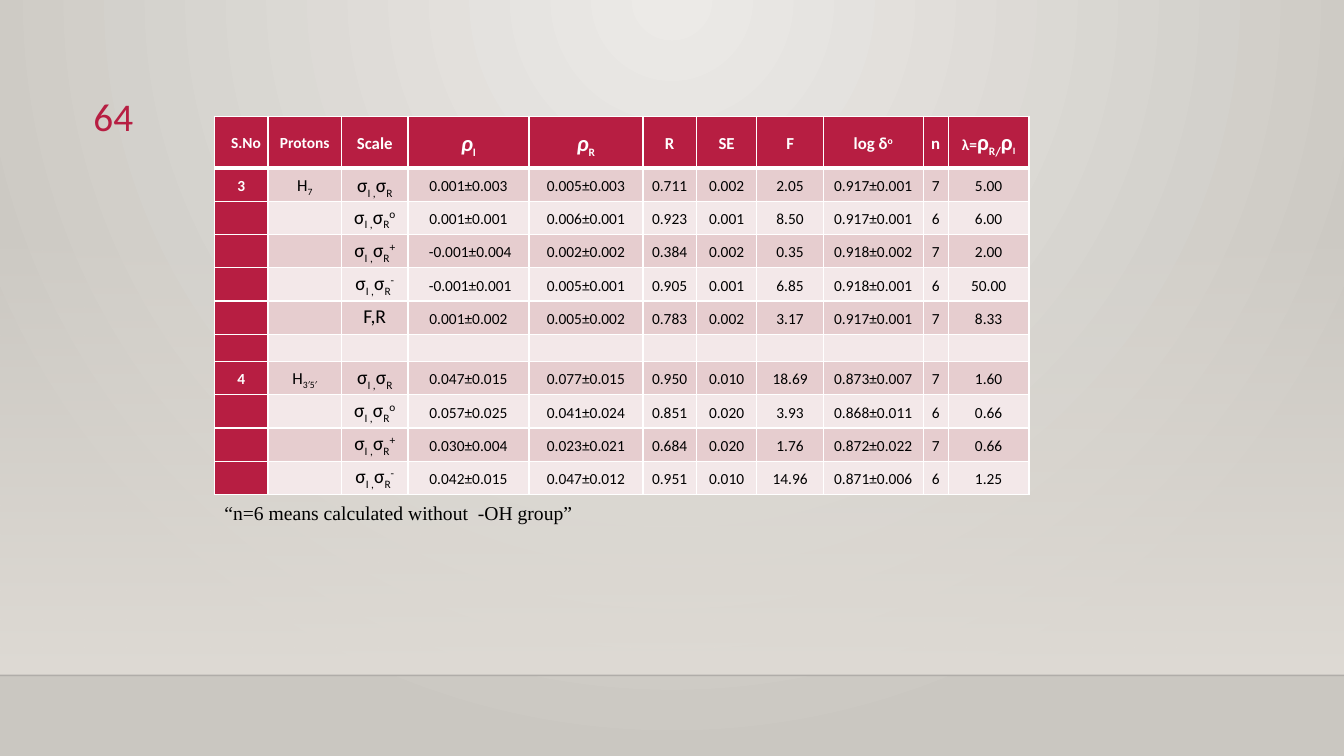
from lxml import etree
from pptx import Presentation
from pptx.dml.color import RGBColor
from pptx.enum.shapes import MSO_CONNECTOR, MSO_SHAPE
from pptx.enum.text import MSO_ANCHOR, PP_ALIGN
from pptx.oxml.ns import qn
from pptx.util import Pt

STRAIGHT, RECTANGLE = MSO_CONNECTOR.STRAIGHT, MSO_SHAPE.RECTANGLE
TOP, MIDDLE = MSO_ANCHOR.TOP, MSO_ANCHOR.MIDDLE
LEFT, CENTER, RIGHT = PP_ALIGN.LEFT, PP_ALIGN.CENTER, PP_ALIGN.RIGHT

CRIMSON = RGBColor(0xB7, 0x1E, 0x42)
PINK = RGBColor(0xE6, 0xCD, 0xCF)
PALE_PINK = RGBColor(0xF3, 0xE8, 0xE9)
WHITE = RGBColor(0xFF, 0xFF, 0xFF)
BLACK = RGBColor(0x00, 0x00, 0x00)
NEAR_BLACK = RGBColor(0x00, 0x00, 0x01)
LIGHT_STONE = RGBColor(0xEC, 0xEA, 0xE7)
DARK_STONE = RGBColor(0xCA, 0xC7, 0xC1)
STONE = RGBColor(0xDF, 0xDB, 0xD5)

PAGE_WIDTH, PAGE_HEIGHT = Pt(960), Pt(540)
FLOOR_TOP = Pt(482.4)
SUB, SUPER = -25, 30
SCALE_COLUMN = 2

COLUMN_WIDTHS = [38.2, 52.6, 47.5, 86.4, 81.4, 38.2, 43.2, 47.5, 71.3, 18, 57.6]
HEADER_HEIGHT, ROW_HEIGHT, GAP_HEIGHT = 37.2, 23.7, 19.7


def plain(text, size=11):
    return [(text, size)]


def sigma(superscript=""):
    """Runs of a sigma pair; a run is text, size, baseline percent, italic."""
    runs = [("σ", 14), ("I ,", 14, SUB), ("σ", 14), ("R", 14, SUB)]
    return runs + ([(superscript, 14, SUPER)] if superscript else [])


def proton(position):
    return [("H", 12), (position, 12, SUB)]


def rho(index):
    return [("ρ", 16, 0, True), (index, 14, SUB)]


HEADER = [
    plain("S.No"), plain("Protons"), plain("Scale", 12), rho("I"), rho("R"),
    plain("R", 12), plain("SE", 12), plain("F", 12),
    [("log δ", 12), ("o", 12, SUPER)], plain("n", 12),
    [("λ=", 11), ("ρ", 16), ("R", 14, SUB), ("/", 16, SUB), ("ρ", 16), ("I", 12, SUB)],
]
FIELD_SCALE = plain("F,R", 14)
# Serial number, proton, scale, then the eight values
BODY = [
    ("3", proton("7"), sigma(), "0.001±0.003|0.005±0.003|0.711|0.002|2.05|0.917±0.001|7|5.00"),
    ("", [], sigma("o"), "0.001±0.001|0.006±0.001|0.923|0.001|8.50|0.917±0.001|6|6.00"),
    ("", [], sigma("+"), " -0.001±0.004|0.002±0.002|0.384|0.002|0.35|0.918±0.002|7|2.00"),
    ("", [], sigma("-"), " -0.001±0.001|0.005±0.001|0.905|0.001|6.85|0.918±0.001|6|50.00"),
    ("", [], FIELD_SCALE, "0.001±0.002|0.005±0.002|0.783|0.002|3.17|0.917±0.001|7|8.33"),
    ("", [], [], "|||||||"),
    ("4", proton("3′5′"), sigma(), "0.047±0.015|0.077±0.015|0.950|0.010|18.69|0.873±0.007|7|1.60"),
    ("", [], sigma("o"), "0.057±0.025|0.041±0.024|0.851|0.020|3.93|0.868±0.011|6|0.66"),
    ("", [], sigma("+"), "0.030±0.004|0.023±0.021|0.684|0.020|1.76|0.872±0.022|7|0.66"),
    ("", [], sigma("-"), "0.042±0.015|0.047±0.012|0.951|0.010|14.96|0.871±0.006|6|1.25"),
]
GAP_ROW = 6


def set_alpha(color_element, percent):
    etree.SubElement(color_element, qn("a:alpha")).set("val", str(percent * 1000))


def set_gradient(fill, start, end):
    fill.gradient()
    for stop, color, position in zip(fill.gradient_stops, (start, end), (0, 1)):
        stop.color.rgb = color
        stop.position = position


def paint_background(page):
    """Radial gradient spreading from the middle of the top edge."""
    set_gradient(page.background.fill, LIGHT_STONE, DARK_STONE)
    gradient = page._element.find(".//" + qn("a:gradFill"))
    linear = gradient.find(qn("a:lin"))
    circle = etree.Element(qn("a:path"), {"path": "circle"})
    etree.SubElement(circle, qn("a:fillToRect"),
                     {"l": "43000", "t": "0", "r": "43000", "b": "100000"})
    gradient.replace(linear, circle)


def add_wall(page):
    """Band that fades in from transparent down to the floor line."""
    top = Pt(159.1)
    wall = page.shapes.add_shape(RECTANGLE, 0, top, PAGE_WIDTH, FLOOR_TOP - top)
    wall.shadow.inherit = False
    wall.line.fill.background()
    set_gradient(wall.fill, STONE, STONE)
    wall.fill.gradient_angle = 270
    set_alpha(wall._element.spPr.find(".//" + qn("a:srgbClr")), 0)


def add_floor_line(page):
    line = page.shapes.add_connector(STRAIGHT, 0, FLOOR_TOP, PAGE_WIDTH, FLOOR_TOP)
    line.line.width = Pt(1)
    line.line.color.rgb = NEAR_BLACK
    properties = line._element.spPr
    set_alpha(properties.find(".//" + qn("a:srgbClr")), 20)
    etree.SubElement(properties, qn("a:effectLst"))


def set_borders(cell, top, bottom):
    properties = cell._tc.get_or_add_tcPr()
    for side, width in (("lnL", 1), ("lnR", 1), ("lnT", top), ("lnB", bottom)):
        line = etree.SubElement(properties, qn("a:" + side), {"w": str(Pt(width))})
        solid = etree.SubElement(line, qn("a:solidFill"))
        etree.SubElement(solid, qn("a:srgbClr")).set("val", str(WHITE))


def write_runs(para, runs):
    for text, size, *style in runs:
        baseline, italic = (style + [0, False][len(style):])
        span = para.add_run()
        span.text = text
        span.font.size = Pt(size)
        if italic:
            span.font.italic = True
        if baseline:
            span._r.get_or_add_rPr().set("baseline", str(baseline * 1000))
    if not runs:
        etree.SubElement(para._p, qn("a:endParaRPr")).set("sz", "1100")


def fill_cell(cell, runs, row, column):
    heading = row == 0 or column == 0
    set_borders(cell, top=3 if row == 1 else 1, bottom=3 if row == 0 else 1)
    cell.fill.solid()
    cell.fill.fore_color.rgb = CRIMSON if heading else PINK if row % 2 else PALE_PINK
    cell.margin_left = cell.margin_right = Pt(5)
    cell.margin_top = cell.margin_bottom = 0
    cell.vertical_anchor = TOP if column == SCALE_COLUMN and row > 1 else MIDDLE
    para = cell.text_frame.paragraphs[0]
    para.alignment = RIGHT if row == column == 0 else CENTER
    para.line_spacing = 1.15
    para.font.name = "Calibri"
    para.font.bold = heading
    para.font.color.rgb = WHITE if heading else BLACK
    write_runs(para, runs)


def add_results_table(page):
    rows = [HEADER]
    for serial, protons, scale, values in BODY:
        numbers = [plain(value) if value else [] for value in values.split("|")]
        rows.append([plain(serial) if serial else [], protons, scale] + numbers)
    heights = [HEADER_HEIGHT] + [ROW_HEIGHT] * len(BODY)
    heights[GAP_ROW] = GAP_HEIGHT
    table = page.shapes.add_table(
        len(rows), len(COLUMN_WIDTHS), Pt(153.2), Pt(83),
        Pt(sum(COLUMN_WIDTHS)), Pt(sum(heights))).table
    for column, width in zip(table.columns, COLUMN_WIDTHS):
        column.width = Pt(width)
    for row, height in zip(table.rows, heights):
        row.height = Pt(height)
    for r, row in enumerate(rows):
        for c, runs in enumerate(row):
            fill_cell(table.cell(r, c), runs, r, c)


def add_text(page, text, place, font, size, color, alignment=LEFT, spacing=1.0):
    box = page.shapes.add_textbox(*map(Pt, place))
    box.text_frame.word_wrap = True
    para = box.text_frame.paragraphs[0]
    para.text = text
    para.alignment = alignment
    para.line_spacing = spacing
    para.font.name = font
    para.font.size = Pt(size)
    para.font.color.rgb = color


def main():
    deck = Presentation()
    deck.slide_width, deck.slide_height = PAGE_WIDTH, PAGE_HEIGHT
    page = deck.slides.add_slide(deck.slide_layouts[6])
    paint_background(page)
    add_wall(page)
    add_floor_line(page)
    add_results_table(page)
    add_text(page, "“n=6 means calculated without  -OH group”", (153.2, 352, 480, 70.6),
             "Times New Roman", 14, BLACK, spacing=1.15)
    add_text(page, "64", (38.2, 62.6, 64, 39.6), "Calibri", 28, CRIMSON, RIGHT)
    deck.save("out.pptx")


if __name__ == "__main__":
    main()
